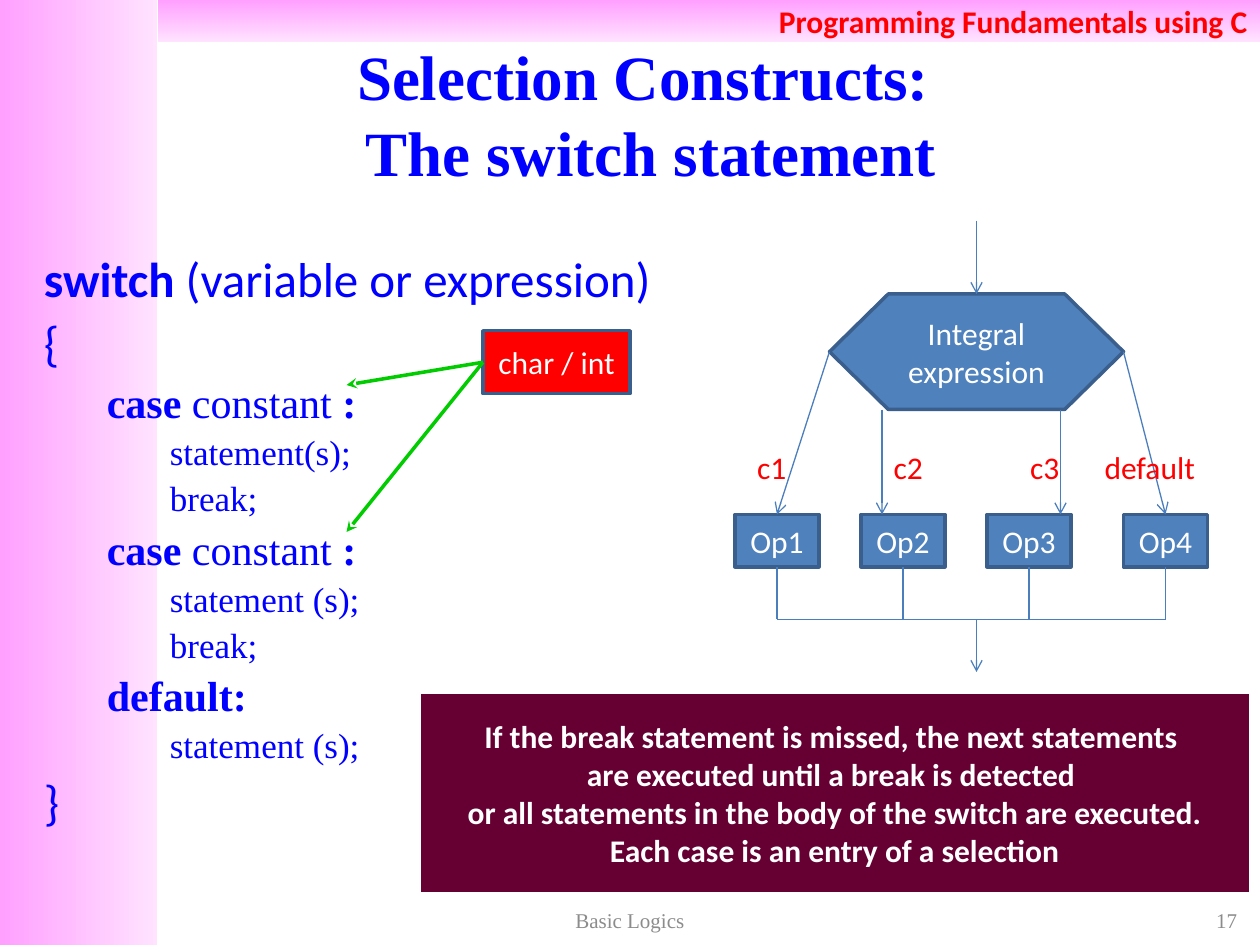
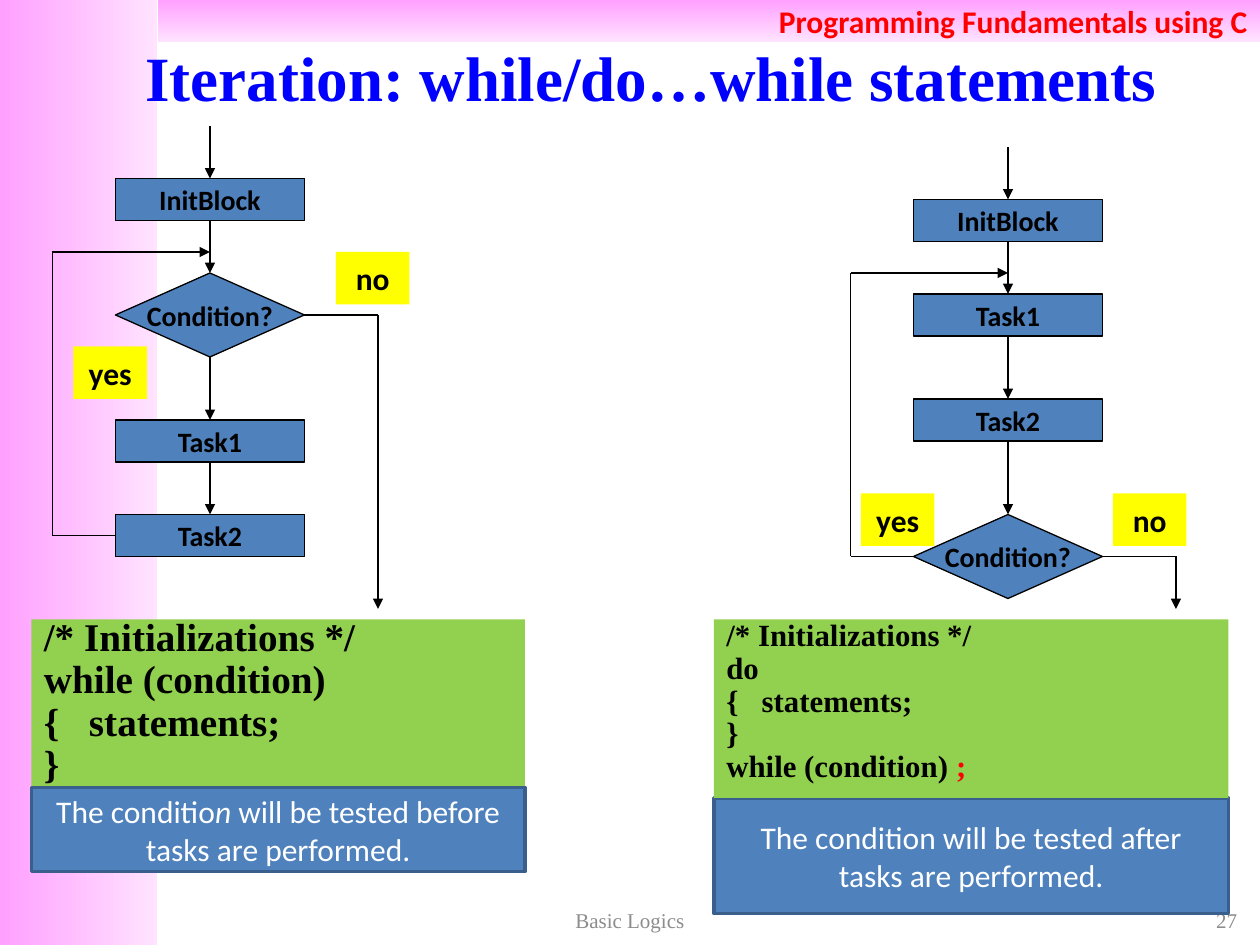
from dataclasses import dataclass, replace

from lxml import etree
from pptx import Presentation
from pptx import util as u
from pptx.dml.color import RGBColor
from pptx.enum import shapes as kinds
from pptx.enum import text as t
from pptx.oxml.ns import qn


@dataclass(frozen=True)
class Style:
    font: str
    size: float
    color: str
    bold: bool = False
    align: int = t.PP_ALIGN.CENTER
    spacing: float = 1.0
    before: float = 0.0


@dataclass(frozen=True)
class Theme:
    band_dark = "FFA0FF"
    band_light = "FFE3FF"
    blue = "4F81BD"
    blue_edge = "3A5F8C"
    blue_line = "4B7EBC"
    red = "FF0000"
    green_line = "00CC00"
    code_fill = "92D050"
    note_fill = "660033"
    yellow = "FFFF00"
    white = "FFFFFF"
    black = "000000"
    thin = 0.75
    thick = 2
    title = Style("Times New Roman", 36, "0000FF", True)
    course = Style("Calibri", 18, "FF0000", True, t.PP_ALIGN.RIGHT)
    footer = Style("Times New Roman", 12, "8C8C8C")
    light = Style("Calibri", 18, "FFFFFF")
    branch = Style("Calibri", 18, "FF0000")
    answer = Style("Calibri", 18, "000000", True)
    step = Style("Calibri", 16, "000000", True)
    code = Style("Times New Roman", 20, "000000", True, t.PP_ALIGN.LEFT, 0.7)
    syntax = tuple(
        Style(font, size, "0000FF", False, t.PP_ALIGN.LEFT, 0.9, before)
        for font, size, before in (
            ("Calibri", 28, 6.8), ("Times New Roman", 24, 5.5), ("Times New Roman", 20, 4.6))
    )


THEME = Theme()
RECT = kinds.MSO_SHAPE.RECTANGLE
TOP, LEFT, BOTTOM, RIGHT = range(4)


@dataclass(frozen=True)
class Joint:
    shape: object
    side: int

    @property
    def point(self):
        box = self.shape
        across = {LEFT: 0, RIGHT: 1}.get(self.side, 0.5)
        down = {TOP: 0, BOTTOM: 1}.get(self.side, 0.5)
        return (box.left + box.width * across) / 12700, (box.top + box.height * down) / 12700


def rgb(color):
    return RGBColor.from_string(color)


def lengths(*values):
    return [u.Pt(value) for value in values]


def write_para(para, content, style):
    para.alignment = style.align
    para.line_spacing = style.spacing
    para.space_before = u.Pt(style.before)
    font = para.font
    font.name, font.size = style.font, u.Pt(style.size)
    font.color.rgb = rgb(style.color)
    spans = [(content, {})] if isinstance(content, str) else content
    if not any("bold" in changes for _, changes in spans):
        font.bold = style.bold
    for words, changes in spans:
        span = para.add_run()
        span.text = words
        for name, value in changes.items():
            if name == "color":
                span.font.color.rgb = rgb(value)
            else:
                setattr(span.font, name, value)


def write(box, lines, style, wrap=True, anchor=t.MSO_ANCHOR.MIDDLE):
    frame = box.text_frame
    frame.word_wrap = wrap
    frame.auto_size = t.MSO_AUTO_SIZE.NONE
    frame.vertical_anchor = anchor
    for index, content in enumerate(lines):
        para = frame.add_paragraph() if index else frame.paragraphs[0]
        write_para(para, content, style)
    return frame


def indent(para, margin, first=0):
    properties = para._p.get_or_add_pPr()
    properties.set("marL", str(u.Pt(margin)))
    properties.set("indent", str(u.Pt(first)))


def add_box(canvas, area, fill, edge=None, width=THEME.thin, kind=RECT):
    box = canvas.add_shape(kind, *lengths(*area))
    box.shadow.inherit = False
    if fill:
        box.fill.solid()
        box.fill.fore_color.rgb = rgb(fill)
    if edge:
        box.line.color.rgb = rgb(edge)
        box.line.width = u.Pt(width)
    else:
        box.line.fill.background()
    return box


def add_blue_box(canvas, area, lines, kind=RECT):
    box = add_box(canvas, area, THEME.blue, THEME.blue_edge, THEME.thick, kind)
    write(box, lines, THEME.light)
    return box


def add_label(canvas, area, words, style):
    write(canvas.add_textbox(*lengths(*area)), [words], style)


def add_link(canvas, start, end, color, arrow=None, width=THEME.thin):
    points = [stop.point if isinstance(stop, Joint) else stop for stop in (start, end)]
    link = canvas.add_connector(kinds.MSO_CONNECTOR.STRAIGHT, *lengths(*points[0], *points[1]))
    if isinstance(start, Joint):
        link.begin_connect(start.shape, start.side)
    if isinstance(end, Joint):
        link.end_connect(end.shape, end.side)
    link.line.color.rgb = rgb(color)
    link.line.width = u.Pt(width)
    if arrow:
        etree.SubElement(link.line._get_or_add_ln(), qn("a:tailEnd"), type=arrow)
    etree.SubElement(link._element.spPr, qn("a:effectLst"))


def add_band(page, area, angle):
    band = add_box(page.shapes, area, None)
    band.fill.gradient()
    band.fill.gradient_angle = angle
    for stop, color in zip(band.fill.gradient_stops, (THEME.band_dark, THEME.band_light)):
        stop.color.rgb = rgb(color)
    page.shapes.title.element.addprevious(band.element)
    return band


def start_page(deck, title_words, title_height, number):
    page = deck.slides.add_slide(deck.slide_layouts[5])
    add_band(page, (0, 0, 90, 540), 0)
    write(add_band(page, (90, 0, 630, 24), 270), ["Programming Fundamentals using C"], THEME.course)
    title = page.shapes.title
    title.left, title.top, title.width, title.height = lengths(60, 21.6, 624, title_height)
    write(title, [title_words], THEME.title)
    add_label(page.shapes, (246, 516, 228, 19.4), "Basic Logics", THEME.footer)
    add_label(page.shapes, (546, 516, 168, 19.4), number,
              replace(THEME.footer, align=t.PP_ALIGN.RIGHT))
    return page


def add_switch_syntax(page, left, top):
    bold, plain = {"bold": True}, {"bold": False}
    case = (1, [("case", bold), (" constant ", plain), (":", bold)])
    lines = [
        (0, [("switch", bold), (" (variable or expression)", plain)]), (0, "{"),
        case, (2, "statement(s);"), (2, "break;"),
        case, (2, "statement (s);"), (2, "break;"),
        (1, [("default:", bold)]), (2, "statement (s);"), (0, "}"),
    ]
    frame = page.shapes.add_textbox(*lengths(left, top, 426, 356)).text_frame
    frame.word_wrap = True
    for index, (level, content) in enumerate(lines):
        para = frame.add_paragraph() if index else frame.paragraphs[0]
        write_para(para, content, THEME.syntax[level])
        indent(para, 36 * level)
    kind_box = add_box(page.shapes, (left + 258, top + 47, 84, 36),
                       THEME.red, THEME.blue_edge, THEME.thick)
    write(kind_box, ["char / int"], THEME.light)
    for drop in (78, 162):
        add_link(page.shapes, Joint(kind_box, LEFT), (left + 180, top + drop),
                 THEME.green_line, "stealth", THEME.thick)


def add_break_note(page, area):
    note = add_box(page.shapes, area, THEME.note_fill, THEME.white)
    write(note, [
        "If the break statement is missed, the next statements ",
        "are executed until a break is detected ",
        "or all statements in the body of the switch are executed.",
        "Each case is an entry of a selection",
    ], replace(THEME.light, bold=True), wrap=False)


def add_switch_chart(page, left, top):
    canvas = page.shapes.add_group_shape().shapes
    color, center, bus = THEME.blue_line, left + 138, top + 228
    choice = add_blue_box(canvas, (left + 54, top + 42, 168, 66), ["Integral", "expression"],
                          kinds.MSO_SHAPE.FLOWCHART_PREPARATION)
    operations = [
        add_blue_box(canvas, (left + offset, top + 168, 48, 30), [f"Op{number}"])
        for number, offset in enumerate((0, 72, 144, 222), 1)
    ]
    add_link(canvas, (center, top), Joint(choice, TOP), color, "arrow")
    add_link(canvas, Joint(choice, LEFT), Joint(operations[0], TOP), color, "arrow")
    for offset in (84, 186):
        add_link(canvas, (left + offset, top + 108), (left + offset, top + 168), color, "arrow")
    add_link(canvas, Joint(choice, RIGHT), Joint(operations[-1], TOP), color, "arrow")
    for operation in operations:
        start = Joint(operation, BOTTOM)
        add_link(canvas, start, (start.point[0], bus), color)
    add_link(canvas, (left + 24, bus), (left + 246, bus), color)
    add_link(canvas, (center, bus), (center, bus + 30), color, "arrow")
    for words, offset, width in (("c1", 0, 42), ("c2", 78, 42), ("c3", 156, 42), ("default", 198, 78)):
        add_label(canvas, (left + offset, top + 126, width, 30), words, THEME.branch)


def add_loop_chart(page, left, top, steps, answers, exit_bottom):
    canvas = page.shapes.add_group_shape().shapes
    color, arrow = THEME.black, "triangle"
    center, loop_top, exit_x = left + 90, top + 72, left + 186
    boxes = {}
    for words, offset in steps:
        decision = words.endswith("?")
        kind = kinds.MSO_SHAPE.FLOWCHART_DECISION if decision else RECT
        area = (left + 36, top + offset, 108, 48 if decision else 24)
        boxes[words] = add_box(canvas, area, THEME.blue, color, kind=kind)
        write(boxes[words], [words], THEME.step, wrap=False)
    for words, across, down in answers:
        answer = add_box(canvas, (left + across, top + down, 42, 30), THEME.yellow)
        write(answer, [words], THEME.answer, wrap=False)
    chain = list(boxes.values())
    add_link(canvas, (center, top), Joint(chain[0], TOP), color, arrow)
    for upper, lower in zip(chain, chain[1:]):
        add_link(canvas, Joint(upper, BOTTOM), Joint(lower, TOP), color, arrow)
    back = Joint(chain[-1], LEFT)
    corner = (left, back.point[1])
    add_link(canvas, back, corner, color)
    add_link(canvas, corner, (left, loop_top), color)
    add_link(canvas, (left, loop_top), (center, loop_top), color, arrow)
    leave = Joint(boxes["Condition?"], RIGHT)
    corner = (exit_x, leave.point[1])
    add_link(canvas, leave, corner, color)
    add_link(canvas, corner, (exit_x, top + exit_bottom), color, arrow)


def add_loop_code(page, area, lines, size):
    style = replace(THEME.code, size=size, before=round(size * 0.23, 1))
    code = add_box(page.shapes, area, THEME.code_fill)
    hang = round(size * 1.15, 1)
    for para in write(code, lines, style, anchor=t.MSO_ANCHOR.TOP).paragraphs:
        indent(para, hang, -hang)


def build_switch_page(deck):
    page = start_page(deck, "Selection Constructs: ", 86.4, "17")
    para = page.shapes.title.text_frame.paragraphs[0]
    para.add_line_break()
    para.add_run().text = "The switch statement"
    add_switch_syntax(page, 18, 142)
    add_break_note(page, (240, 396, 474, 114))
    add_switch_chart(page, 420, 126)


def build_loop_page(deck):
    page = start_page(deck, "Iteration: while/do…while statements", 44.6, "27")
    add_loop_chart(page, 30, 72,
                   [("InitBlock", 30), ("Condition?", 84), ("Task1", 168), ("Task2", 222)],
                   [("yes", 12, 126), ("no", 162, 72)], 276)
    add_loop_code(page, (18, 354, 282, 108),
                  ["/* Initializations */", "while (condition)", "{\tstatements;", "}"], 22.4)
    add_blue_box(page.shapes, (18, 450, 282, 48), [[
        ("The conditio", {}), ("n ", {"italic": True}),
        ("will be tested before tasks are performed.", {})]])
    add_loop_chart(page, 486, 84,
                   [("InitBlock", 30), ("Task1", 84), ("Task2", 144), ("Condition?", 210)],
                   [("yes", 6, 198), ("no", 150, 198)], 264)
    add_blue_box(page.shapes, (408, 456, 294, 66),
                 ["The condition will be tested after tasks are performed."])
    add_loop_code(page, (408, 354, 294, 102),
                  ["/* Initializations */", "do", "{\tstatements;", "}",
                   [("while (condition) ", {}), (";", {"color": THEME.red})]], 17.6)


def main():
    deck = Presentation()
    deck.slide_width, deck.slide_height = lengths(720, 540)
    build_switch_page(deck)
    build_loop_page(deck)
    deck.save("out.pptx")


if __name__ == "__main__":
    main()
